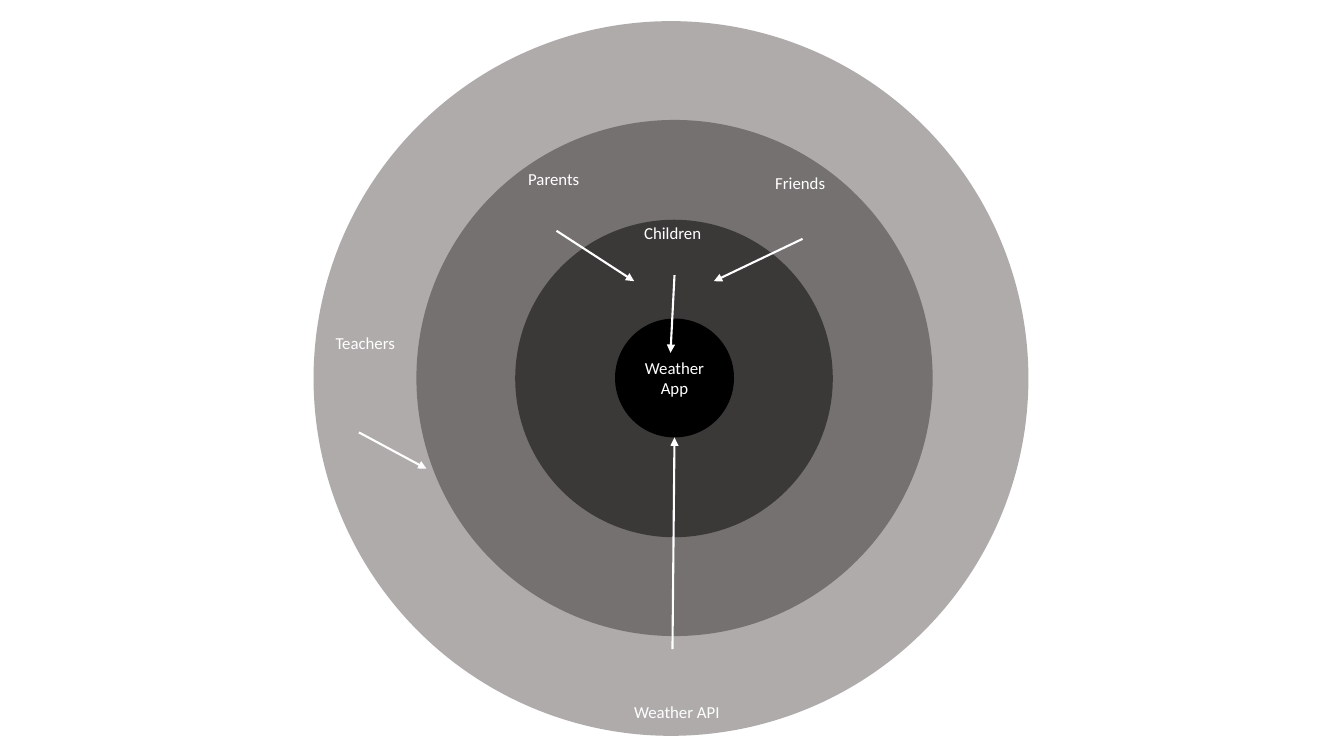
from lxml import etree
from pptx import Presentation
from pptx.dml.color import RGBColor
from pptx.enum import shapes, text
from pptx.oxml import ns
from pptx.util import Inches, Pt

COLORS = {
    "outer": "AFABAB",
    "middle": "767171",
    "inner": "3B3838",
    "core": "000000",
    "light": "FFFFFF",
}


def write_label(frame, wording, alignment):
    para = frame.paragraphs[0]
    para.alignment = alignment
    span = para.add_run()
    span.text = wording
    span.font.name = "Calibri"
    span.font.size = Pt(12)
    span.font.color.rgb = RGBColor.from_string(COLORS["light"])


deck = Presentation()
deck.slide_width = Inches(13.33)
deck.slide_height = Inches(7.5)
page = deck.slides.add_slide(deck.slide_layouts[6])

rings = [
    ("outer", 3.11, 0.21, 7.09),
    ("middle", 4.13, 1.19, 5.12),
    ("inner", 5.11, 2.18, 3.15),
    ("core", 6.1, 3.16, 1.18),
]
for color, left, top, diameter in rings:
    ring = page.shapes.add_shape(
        shapes.MSO_SHAPE.OVAL,
        Inches(left), Inches(top), Inches(diameter), Inches(diameter),
    )
    ring.shadow.inherit = False
    ring.fill.solid()
    ring.fill.fore_color.rgb = RGBColor.from_string(COLORS[color])
    ring.line.fill.background()

core = ring.text_frame
core.word_wrap = True
core.vertical_anchor = text.MSO_ANCHOR.MIDDLE
write_label(core, "Weather App", text.PP_ALIGN.CENTER)

labels = [
    ("Children", 6.29, 2.16, 0.77),
    ("Parents", 5.14, 1.62, 0.72),
    ("Friends", 7.59, 1.66, 0.7),
    ("Weather API", 6.19, 6.91, 1.06),
    ("Teachers", 3.23, 3.25, 0.8),
]
for wording, left, top, width in labels:
    box = page.shapes.add_textbox(
        Inches(left), Inches(top), Inches(width), Inches(0.3)
    )
    box.text_frame.word_wrap = False
    box.text_frame.auto_size = text.MSO_AUTO_SIZE.SHAPE_TO_FIT_TEXT
    write_label(box.text_frame, wording, text.PP_ALIGN.LEFT)

arrows = [
    (6.69, 2.73, 6.65, 3.5),
    (5.52, 2.29, 6.29, 2.79),
    (7.96, 2.37, 7.08, 2.79),
    (6.67, 6.44, 6.69, 4.34),
    (3.56, 4.29, 4.23, 4.65),
]
for ends in arrows:
    arrow = page.shapes.add_connector(
        shapes.MSO_CONNECTOR.STRAIGHT, *[Inches(value) for value in ends]
    )
    arrow.line.width = Pt(1.5)
    arrow.line.color.rgb = RGBColor.from_string(COLORS["light"])
    outline = arrow.line._get_or_add_ln()
    etree.SubElement(outline, ns.qn("a:tailEnd"), type="triangle")
    etree.SubElement(arrow._element.spPr, ns.qn("a:effectLst"))

deck.save("out.pptx")
